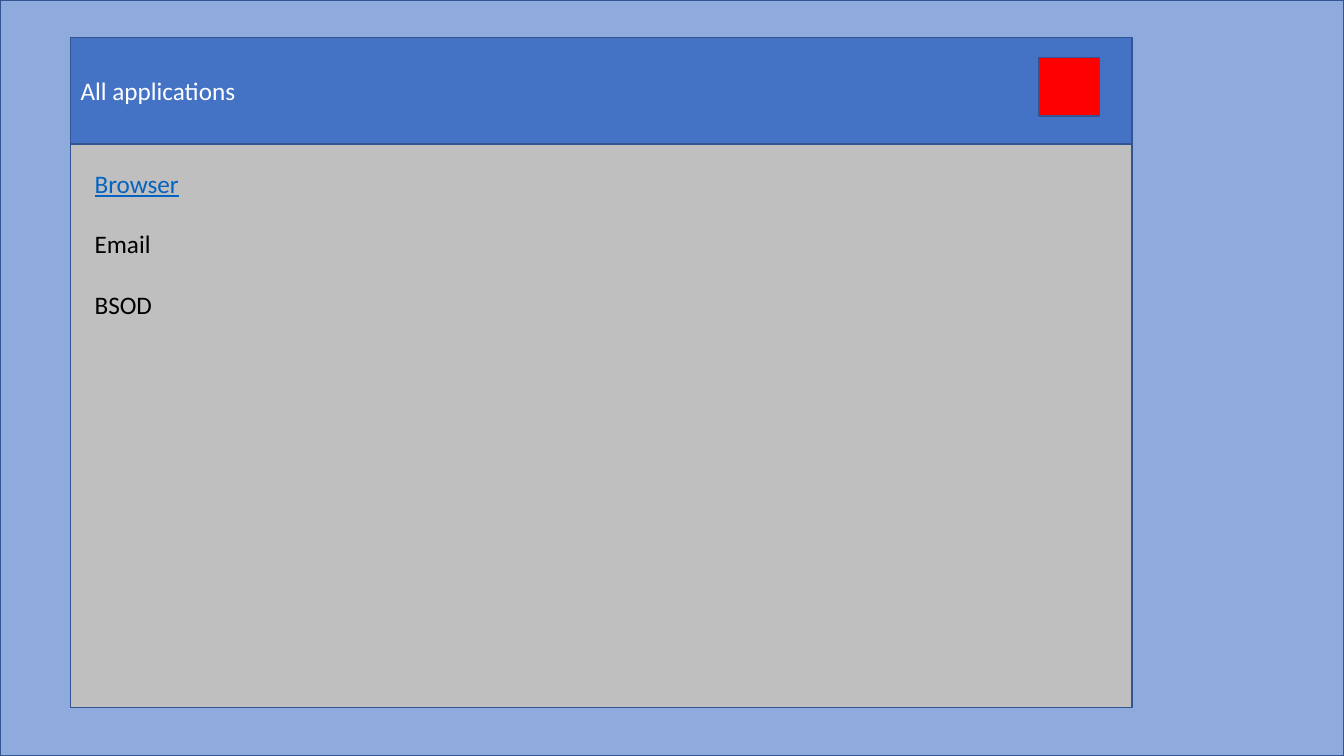
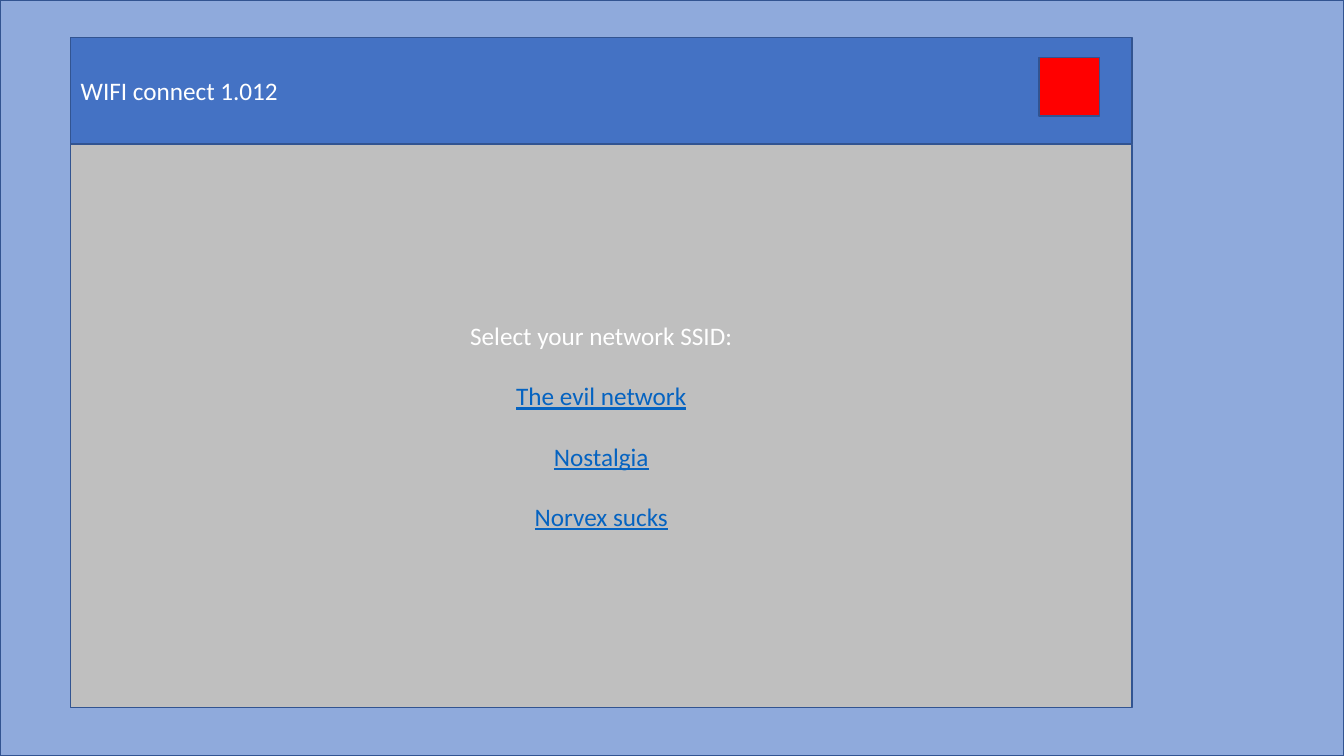
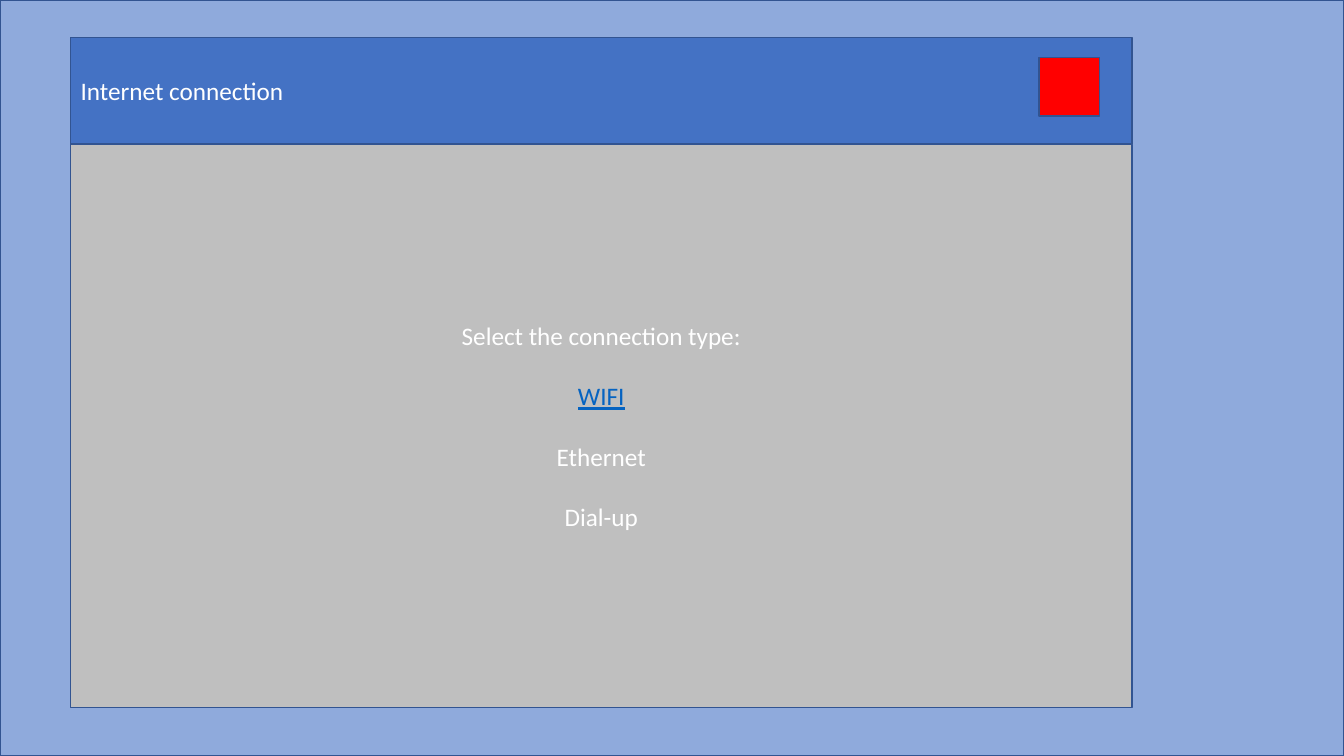
"""Build three screens of a retro desktop, each showing one application window."""
from pptx import Presentation
from pptx.dml.color import RGBColor
from pptx.enum.shapes import MSO_SHAPE
from pptx.enum.text import MSO_ANCHOR, MSO_AUTO_SIZE, PP_ALIGN
from pptx.util import Pt

SLIDE_WIDTH, SLIDE_HEIGHT = 960, 540
WINDOW_LEFT, WINDOW_TOP, WINDOW_WIDTH = 50.4, 26.6, 758.2
BAR_HEIGHT, PANEL_HEIGHT = 76.4, 402.5
DESKTOP, PANEL, BAR, CLOSE = "8FAADC", "BFBFBF", "4472C4", "FF0000"
OUTLINE, WHITE, BLACK, LINK = "325491", "FFFFFF", "000000", "0563C1"


def color(value):
    """Turn a hex string into a colour."""
    return RGBColor.from_string(value)


class Desktop:
    """Hold the shared style and the current slide."""

    font_name = "Calibri"
    font_size = 18
    entry_gap = 21.5

    def __init__(self, presentation):
        """Set the slide size."""
        self.presentation = presentation
        self.slide = None
        presentation.slide_width = Pt(SLIDE_WIDTH)
        presentation.slide_height = Pt(SLIDE_HEIGHT)

    def paint(self, shape, fill):
        """Give a shape its fill and the shared outline."""
        shape.fill.solid()
        shape.fill.fore_color.rgb = color(fill)
        shape.line.color.rgb = color(OUTLINE)
        shape.line.width = Pt(1)

    def box(self, left, top, width, height, fill):
        """Add an outlined rectangle."""
        shape = self.slide.shapes.add_shape(
            MSO_SHAPE.RECTANGLE, Pt(left), Pt(top), Pt(width), Pt(height))
        shape.shadow.inherit = False
        self.paint(shape, fill)
        return shape

    def add_entries(self, shape, entries, alignment, anchor):
        """Add (text, colour) entries as evenly spaced paragraphs."""
        frame = shape.text_frame
        frame.word_wrap = True
        frame.auto_size = MSO_AUTO_SIZE.NONE
        frame.vertical_anchor = anchor
        frame.margin_left = frame.margin_right = Pt(7.2)
        frame.margin_top = frame.margin_bottom = Pt(3.6)
        for index, (text, text_color) in enumerate(entries):
            paragraph = frame.add_paragraph() if index else frame.paragraphs[0]
            paragraph.alignment = alignment
            paragraph.space_before = Pt(self.entry_gap if index else 0)
            run = paragraph.add_run()
            run.text = text
            run.font.name = self.font_name
            run.font.size = Pt(self.font_size)
            run.font.color.rgb = color(text_color)
            run.font.underline = text_color == LINK

    def title_bar(self, text):
        """Turn the title placeholder into the window's title bar."""
        title = self.slide.shapes.title
        title.left, title.top = Pt(WINDOW_LEFT), Pt(WINDOW_TOP)
        title.width, title.height = Pt(WINDOW_WIDTH), Pt(BAR_HEIGHT)
        self.paint(title, BAR)
        self.add_entries(title, [(text, WHITE)], PP_ALIGN.LEFT, MSO_ANCHOR.MIDDLE)
        title.element.getparent().append(title.element)

    def window(self, title):
        """Start a slide with an open window and return its panel."""
        self.slide = self.presentation.slides.add_slide(
            self.presentation.slide_layouts.get_by_name("Title Only"))
        self.box(0, 0, SLIDE_WIDTH, SLIDE_HEIGHT, DESKTOP)
        panel = self.box(WINDOW_LEFT, WINDOW_TOP + BAR_HEIGHT,
                         WINDOW_WIDTH, PANEL_HEIGHT, PANEL)
        self.title_bar(title)
        self.box(742.3, 41, 43.2, 41.8, CLOSE)
        return panel

    def list_window(self, title, entries):
        """Add a window with a list at its top left."""
        self.window(title)
        text_box = self.slide.shapes.add_textbox(
            Pt(60.5), Pt(116.6), Pt(340), Pt(181.4))
        self.add_entries(text_box, entries, PP_ALIGN.LEFT, MSO_ANCHOR.TOP)

    def choice_window(self, title, entries):
        """Add a window with choices centred in its panel."""
        panel = self.window(title)
        self.add_entries(panel, entries, PP_ALIGN.CENTER, MSO_ANCHOR.MIDDLE)


presentation = Presentation()
desktop = Desktop(presentation)
desktop.list_window("All applications", [
    ("Browser", LINK), ("Email", BLACK), ("BSOD", BLACK)])
desktop.choice_window("WIFI connect 1.012", [
    ("Select your network SSID:", WHITE), ("The evil network", LINK),
    ("Nostalgia", LINK), ("Norvex sucks", LINK)])
desktop.choice_window("Internet connection", [
    ("Select the connection type:", WHITE), ("WIFI", LINK),
    ("Ethernet", WHITE), ("Dial-up", WHITE)])
presentation.save("out.pptx")
